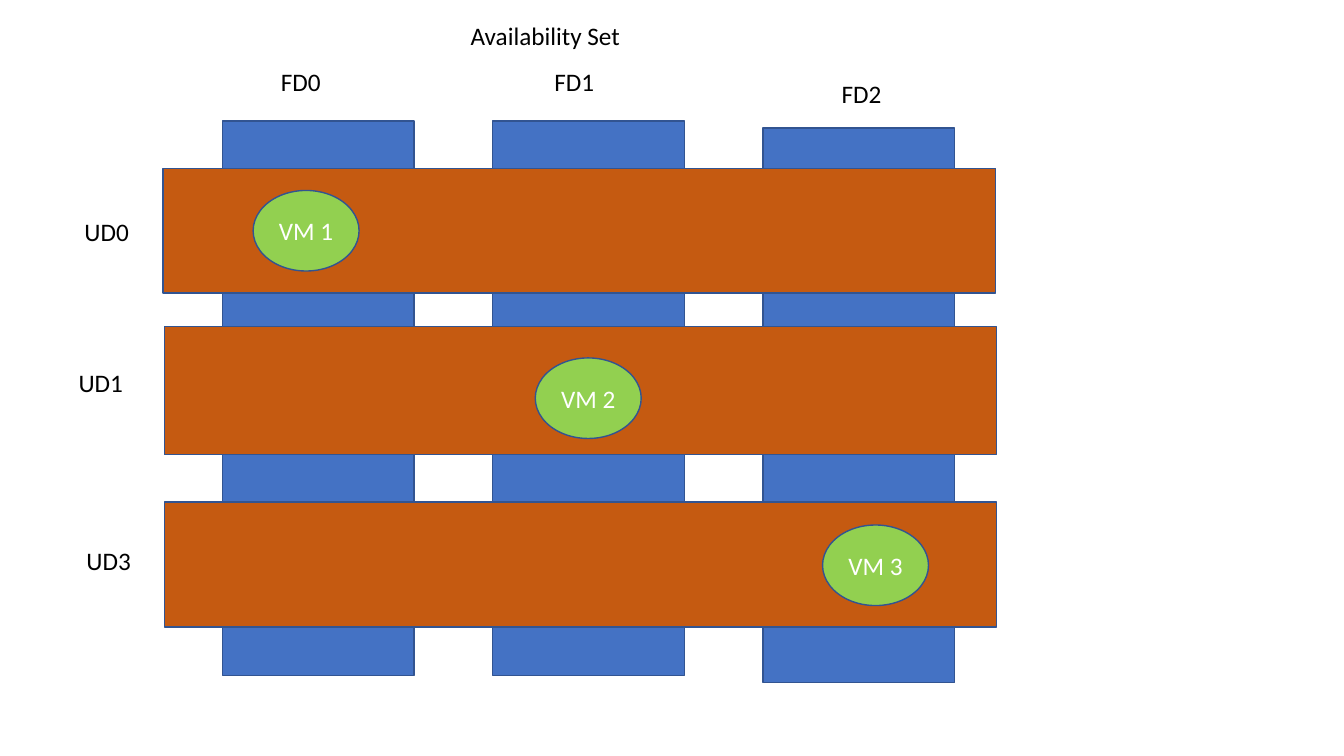
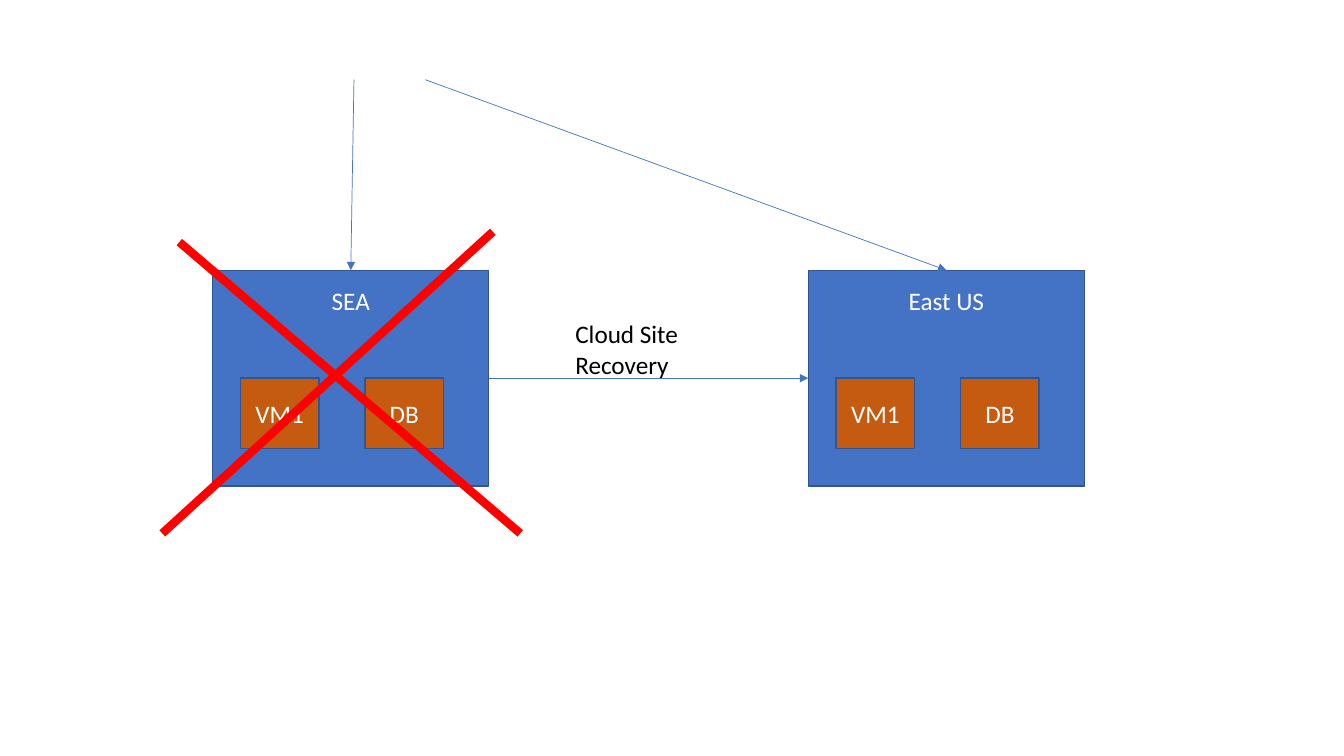
from lxml.etree import SubElement
from pptx import Presentation
from pptx.dml.color import RGBColor
from pptx.enum.shapes import MSO_CONNECTOR, MSO_SHAPE
from pptx.enum.text import MSO_ANCHOR, PP_ALIGN
from pptx.oxml.ns import qn
from pptx.util import Cm, Pt

HUES = {
    "blue": "4472C4", "edge": "325491", "rust": "C55A11", "green": "92D050",
    "red": "FF0000", "white": "FFFFFF", "black": "000000",
}
FONT = "Calibri"

TITLE = "Availability Set"
FAULTS = [("FD0", 6.83, 1.55, 3.05), ("FD1", 13.72, 1.55, 3.05), ("FD2", 20.96, 1.85, 3.23)]
UPDATES = [
    ("UD0", (1.88, 5.31), (4.11, 4.24, 20.98, 3.15)),
    ("UD1", (1.73, 9.12), (4.14, 8.23, 20.98, 3.23)),
    ("UD3", (1.93, 13.61), (4.14, 12.65, 20.98, 3.15)),
]
NODES = [("VM 1", 6.38, 4.8), ("VM 2", 13.49, 9.02), ("VM 3", 20.73, 13.23)]
TAG = (2.24, 1.02)

SITES = [("SEA", 5.36, (8.92, 2.01)), ("East US", 20.37, (10.72, 2.01))]
PARTS = [("VM1", 0.7), ("DB", 3.84)]
LINK = "Cloud Site Recovery"
CROSS = [(4.52, 6.1, 13.11, 13.44), (12.42, 5.84, 4.09, 13.44)]


def tint(hue):
    return RGBColor.from_string(HUES[hue])


def write(shape, text, hue="black", align=PP_ALIGN.LEFT, anchor=MSO_ANCHOR.TOP, top=0.13):
    frame = shape.text_frame
    frame.word_wrap = True
    frame.vertical_anchor = anchor
    frame.margin_left = frame.margin_right = Cm(0.25)
    frame.margin_top, frame.margin_bottom = Cm(top), Cm(0.13)
    para = frame.paragraphs[0]
    para.alignment = align
    run = para.add_run()
    run.text = text
    run.font.name, run.font.size = FONT, Pt(18)
    run.font.color.rgb = tint(hue)


def label(slide, text, *box):
    write(slide.shapes.add_textbox(*map(Cm, box)), text)


def block(slide, box, hue, text="", kind=MSO_SHAPE.RECTANGLE, anchor=MSO_ANCHOR.MIDDLE, top=0.13):
    shape = slide.shapes.add_shape(kind, *map(Cm, box))
    shape.shadow.inherit = False
    shape.fill.solid()
    shape.fill.fore_color.rgb = tint(hue)
    shape.line.color.rgb = tint("edge")
    shape.line.width = Pt(1)
    if text:
        write(shape, text, hue="white", align=PP_ALIGN.CENTER, anchor=anchor, top=top)
    return shape


def stroke(slide, ends, hue="blue", width=0.5, arrow=False):
    line = slide.shapes.add_connector(MSO_CONNECTOR.STRAIGHT, *map(Cm, ends))
    line.line.color.rgb = tint(hue)
    line.line.width = Pt(width)
    props = line.element.spPr
    if arrow:
        SubElement(props.find(qn("a:ln")), qn("a:tailEnd"), type="triangle")
    SubElement(props, qn("a:effectLst"))
    return line


def domains(deck):
    slide = deck.slides.add_slide(deck.slide_layouts[5])
    title = slide.shapes.title
    title.left, title.top, title.width, title.height = map(Cm, (11.61, 0.38, 9.73, 1.02))
    write(title, TITLE)
    for i, (name, x, y, top) in enumerate(FAULTS):
        block(slide, (5.61 + 6.81 * i, top, 4.83, 13.97), "blue")
        label(slide, name, x, y, *TAG)
    for name, spot, band in UPDATES:
        block(slide, band, "rust")
        label(slide, name, *spot, *TAG)
    for name, x, y in NODES:
        block(slide, (x, y, 2.67, 2.03), "green", name, kind=MSO_SHAPE.OVAL)


def failover(deck):
    slide = deck.slides.add_slide(deck.slide_layouts[6])
    top, wide, high = 6.81, 6.96, 5.44
    mid = top + high / 2
    sites = []
    for name, x, start in SITES:
        site = block(slide, (x, top, wide, high), "blue", name, anchor=MSO_ANCHOR.TOP, top=0.39)
        sites.append(site)
        for part, gap in PARTS:
            block(slide, (x + gap, mid, 1.98, 1.78), "rust", part)
        entry = stroke(slide, (*start, x + wide / 2, top), arrow=True)
        entry.end_connect(site, 0)
    link = stroke(slide, (SITES[0][1] + wide, mid, SITES[1][1], mid), arrow=True)
    link.begin_connect(sites[0], 3)
    link.end_connect(sites[1], 1)
    for ends in CROSS:
        stroke(slide, ends, hue="red", width=6)
    label(slide, LINK, 14.25, 7.9, 4.67, 1.8)


def main():
    deck = Presentation()
    deck.slide_width, deck.slide_height = Cm(33.87), Cm(19.05)
    domains(deck)
    failover(deck)
    deck.save("out.pptx")


if __name__ == "__main__":
    main()
